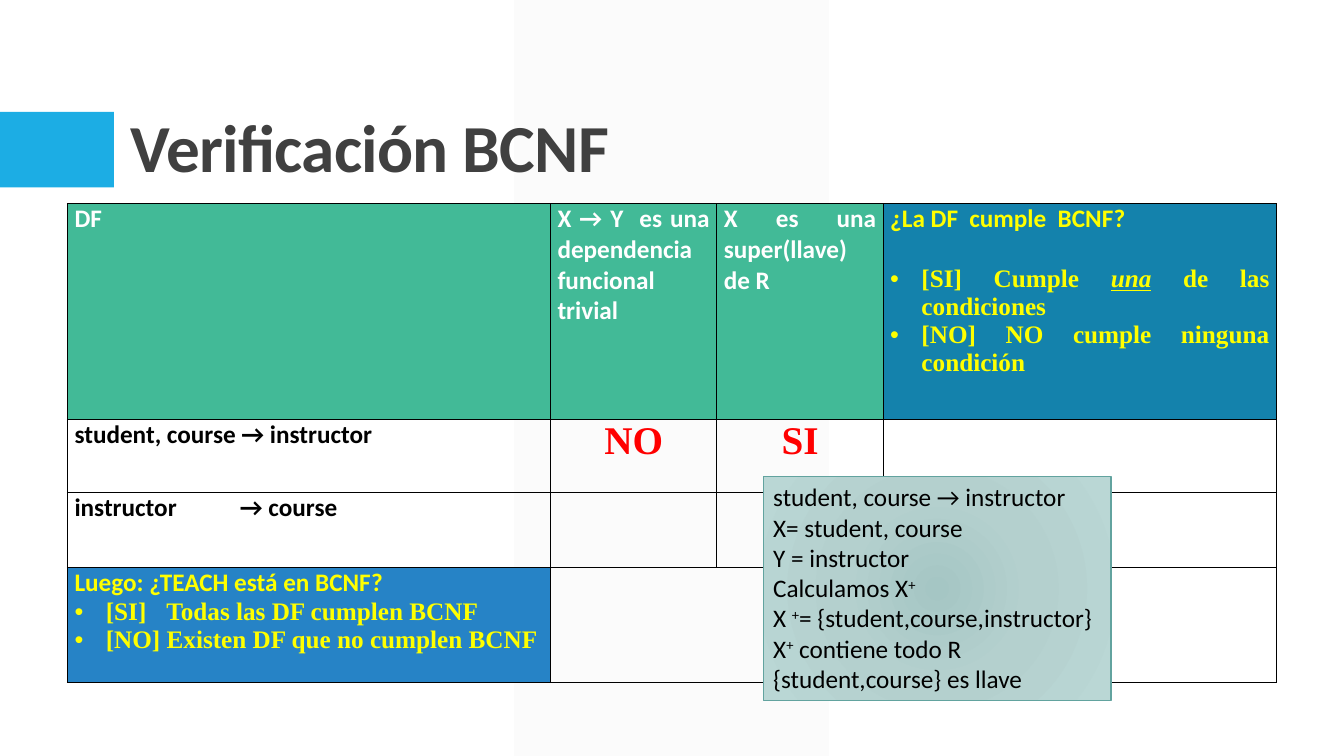
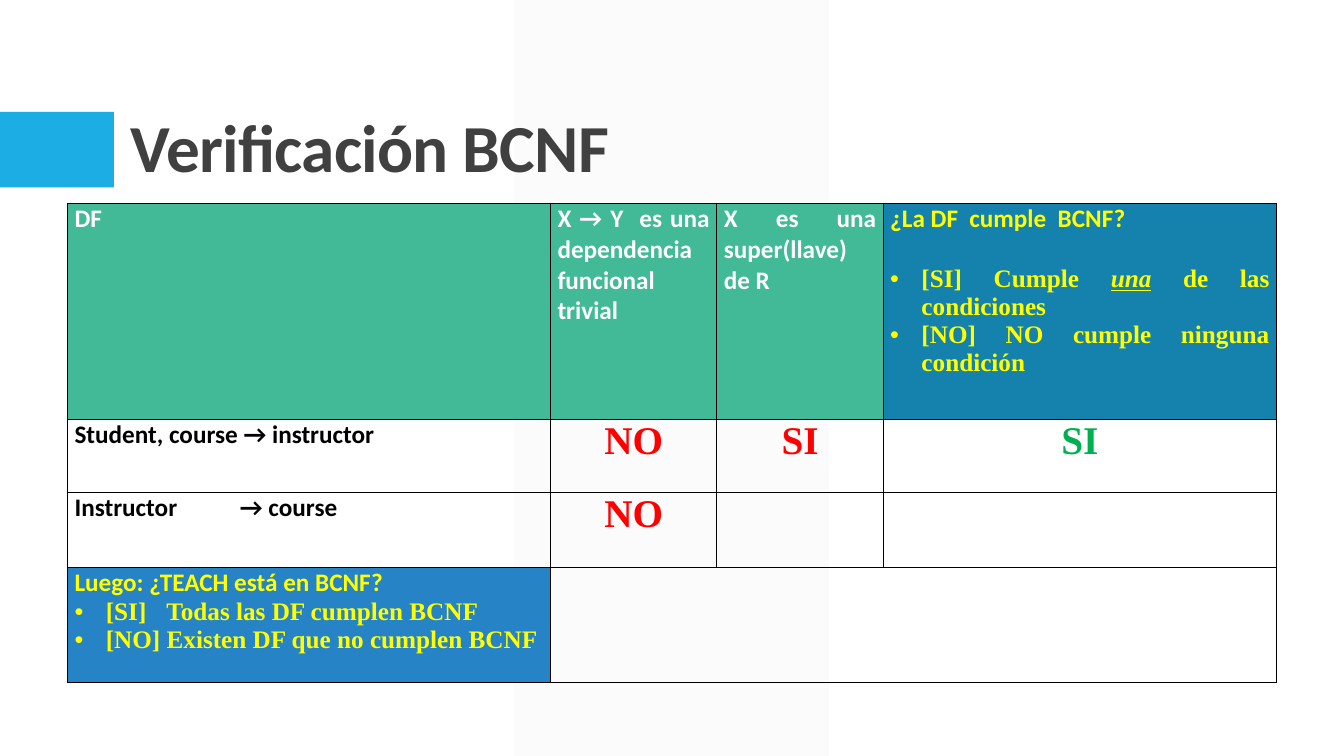
from lxml.etree import SubElement as Sub, fromstring as parse_xml
from pptx import Presentation
from pptx.dml.color import RGBColor as RGB
from pptx.enum.shapes import MSO_SHAPE as Shape
from pptx.enum.text import MSO_ANCHOR as Anchor, PP_ALIGN as Align
from pptx.oxml.ns import qn
from pptx.util import Inches, Pt

WHITE = RGB(0xFF, 0xFF, 0xFF)
BLACK = RGB(0, 0, 0)
GREY = RGB(0x40, 0x40, 0x40)
PALE = RGB(0xF2, 0xF2, 0xF2)
SKY = RGB(0x1C, 0xAD, 0xE4)
GREEN = RGB(0x42, 0xBA, 0x97)
TEAL = RGB(0x14, 0x82, 0xAC)
BLUE = RGB(0x26, 0x83, 0xC6)
YELLOW = RGB(0xFF, 0xFF, 0)
RED = RGB(0xFF, 0, 0)
LEAF = RGB(0, 0xB0, 0x50)
RIM = RGB(0x62, 0xA3, 0x9F)
MIST = [(0, RGB(0xA5, 0xC6, 0xC4)), (45, RGB(0xB4, 0xD0, 0xCE)),
        (100, RGB(0xBA, 0xD7, 0xD5))]
SANS, SERIF = "Calibri", "Times New Roman"

PLAIN = {"name": SANS, "size": Pt(18), "color": BLACK}
BOLD = {**PLAIN, "bold": True}
HEAD = {**BOLD, "color": WHITE}
ASK = {**BOLD, "color": YELLOW}
ITEM = {**ASK, "name": SERIF}
STRESS = {**ITEM, "italic": True, "underline": True}
MARK = {**BOLD, "name": SERIF, "size": Pt(28), "color": RED}
GOOD = {**MARK, "color": LEAF}
TITLE = {**BOLD, "size": Pt(48), "color": GREY}
SUPER = {**PLAIN, "base": "30000"}

COLS = [4.79, 1.65, 1.65, 3.9]
ROWS = [2.14, 0.73, 0.74, 1.14]


def add_run(para, text, style):
    run = para.add_run()
    run.text = text
    for key, value in style.items():
        if key == "color":
            run.font.color.rgb = value
        elif key == "base":
            run._r.get_or_add_rPr().set("baseline", value)
        else:
            setattr(run.font, key, value)
    return run


def set_para(para, runs, align=Align.JUSTIFY, bullet=False, tab=None, before=None):
    para.alignment = align
    if before:
        para.space_before = Pt(before)
    props = para._p.get_or_add_pPr()
    if bullet:
        props.set("marL", str(Inches(0.31)))
        props.set("indent", str(-Inches(0.31)))
        Sub(props, qn("a:buFont"), typeface="Arial")
        Sub(props, qn("a:buChar"), char="•")
    if tab:
        tabs = Sub(props, qn("a:tabLst"))
        Sub(tabs, qn("a:tab"), pos=str(Inches(tab)), algn="l")
    for text, style in runs:
        add_run(para, text, style)


def fill_text(frame, paras):
    for i, args in enumerate(paras):
        set_para(frame.add_paragraph() if i else frame.paragraphs[0], **args)


def line(text, style, **more):
    return {"runs": [(text, style)], **more}


def mark(text, style=MARK):
    return [line(text, style, align=Align.CENTER)]


def add_box(slide, kind, box, color):
    shape = slide.shapes.add_shape(kind, *map(Inches, box))
    shape.shadow.inherit = False
    shape.fill.solid()
    shape.fill.fore_color.rgb = color
    shape.line.fill.background()
    return shape


def add_base(slide, text):
    band = add_box(slide, Shape.PARALLELOGRAM, (5.1, 0, 3.12, 7.5), PALE)
    band.adjustments[0] = 0
    tint = next(band._element.spPr.iter(qn("a:srgbClr")))
    Sub(tint, qn("a:alpha"), val="30000")
    add_box(slide, Shape.RECTANGLE, (0, 1.11, 1.13, 0.75), SKY)
    box = slide.shapes.add_textbox(*map(Inches, (1.2, 0.31, 11, 1.59)))
    frame = box.text_frame
    frame.word_wrap = True
    frame.vertical_anchor = Anchor.BOTTOM
    para = frame.paragraphs[0]
    para.line_spacing = 0.9
    run = add_run(para, text, TITLE)
    run._r.get_or_add_rPr().set("spc", "-50")


def set_cell(cell, paras, color):
    for side in ("left", "right"):
        setattr(cell, f"margin_{side}", Inches(0.07))
    cell.margin_top = cell.margin_bottom = 0
    if color:
        cell.fill.solid()
        cell.fill.fore_color.rgb = color
    else:
        cell.fill.background()
    props = cell._tc.get_or_add_tcPr()
    for i, side in enumerate("LRTB"):
        edge = Sub(props, qn(f"a:ln{side}"), w=str(Pt(1)))
        ink = Sub(Sub(edge, qn("a:solidFill")), qn("a:srgbClr"))
        ink.set("val", str(BLACK))
        props.insert(i, edge)
    fill_text(cell.text_frame, paras)


def add_grid(slide, left, top, names, marks):
    size = map(Inches, (left, top, sum(COLS), sum(ROWS)))
    table = slide.shapes.add_table(len(ROWS), len(COLS), *size).table
    table.first_row = table.horz_banding = False
    for part, sizes in ((table.columns, COLS), (table.rows, ROWS)):
        for item, span in zip(part, sizes):
            setattr(item, "width" if part is table.columns else "height", Inches(span))
    rule = [
        line("¿La DF  cumple  BCNF?", ASK),
        {"runs": [("[SI] Cumple ", ITEM), ("una", STRESS),
                  (" de las condiciones", ITEM)], "bullet": True, "before": 22},
        line("[NO] NO cumple ninguna condición", ITEM, bullet=True),
    ]
    verdict = [
        line("Luego: ¿TEACH está en BCNF?", ASK),
        line("[SI]\tTodas las DF cumplen BCNF", ITEM, bullet=True, tab=0.91),
        line("[NO] Existen DF que no cumplen BCNF", ITEM, bullet=True),
    ]
    heads = ("DF", "X → Y  es una dependencia funcional trivial",
             "X es una super(llave) de R")
    cells = {(0, c): [line(text, HEAD)] for c, text in enumerate(heads)}
    cells |= {(r, 0): [line(text, BOLD, tab=1.64)] for r, text in enumerate(names, 1)}
    cells |= {(0, 3): rule, (3, 0): verdict, **marks}
    fills = {(0, c): GREEN for c in range(3)} | {(0, 3): TEAL, (3, 0): BLUE}
    for r in range(len(ROWS)):
        for c in range(len(COLS)):
            set_cell(table.cell(r, c), cells.get((r, c), []), fills.get((r, c)))
    table.cell(3, 1).merge(table.cell(3, 3))


def add_note(slide, box):
    shape = add_box(slide, Shape.RECTANGLE, box, MIST[0][1])
    shape.line.color.rgb = RIM
    shape.line.width = Pt(1)
    props = shape._element.spPr
    stops = "".join(f'<a:gs pos="{pos * 1000}"><a:srgbClr val="{color}"/></a:gs>'
                    for pos, color in MIST)
    grad = parse_xml(
        '<a:gradFill xmlns:a="http://schemas.openxmlformats.org/drawingml/2006/main">'
        f'<a:gsLst>{stops}</a:gsLst><a:path path="circle">'
        '<a:fillToRect l="50000" t="50000" r="50000" b="50000"/></a:path></a:gradFill>')
    props.replace(props.find(qn("a:solidFill")), grad)
    frame = shape.text_frame
    frame.word_wrap = False
    frame.vertical_anchor = Anchor.TOP
    rows = [
        ["student, course → instructor"],
        ["X= student, course"],
        ["Y = instructor"],
        ["Calculamos X", "+"],
        ["X ", "+", "= {student,course,instructor}"],
        ["X", "+", " contiene todo R"],
        ["{student,course} es llave"],
    ]
    fill_text(frame, [
        {"runs": [(text, SUPER if text == "+" else PLAIN) for text in row],
         "align": Align.LEFT} for row in rows])


def add_check(deck, names, marks, note=None):
    slide = deck.slides.add_slide(deck.slide_layouts[6])
    add_base(slide, "Verificación BCNF")
    add_grid(slide, 0.67, 2.02, names, marks)
    if note:
        add_note(slide, note)


def main():
    deck = Presentation()
    deck.slide_width, deck.slide_height = Inches(13.33), Inches(7.5)
    first = {(1, 1): mark("NO"), (1, 2): mark("SI")}
    add_check(deck, ("student, course → instructor", "instructor\t→ course"),
              first, (7.57, 4.73, 3.45, 2.22))
    add_check(deck, ("Student, course → instructor", "Instructor\t→ course"),
              {**first, (1, 3): mark("SI", GOOD), (2, 1): mark("NO")})
    deck.save("out.pptx")


if __name__ == "__main__":
    main()
